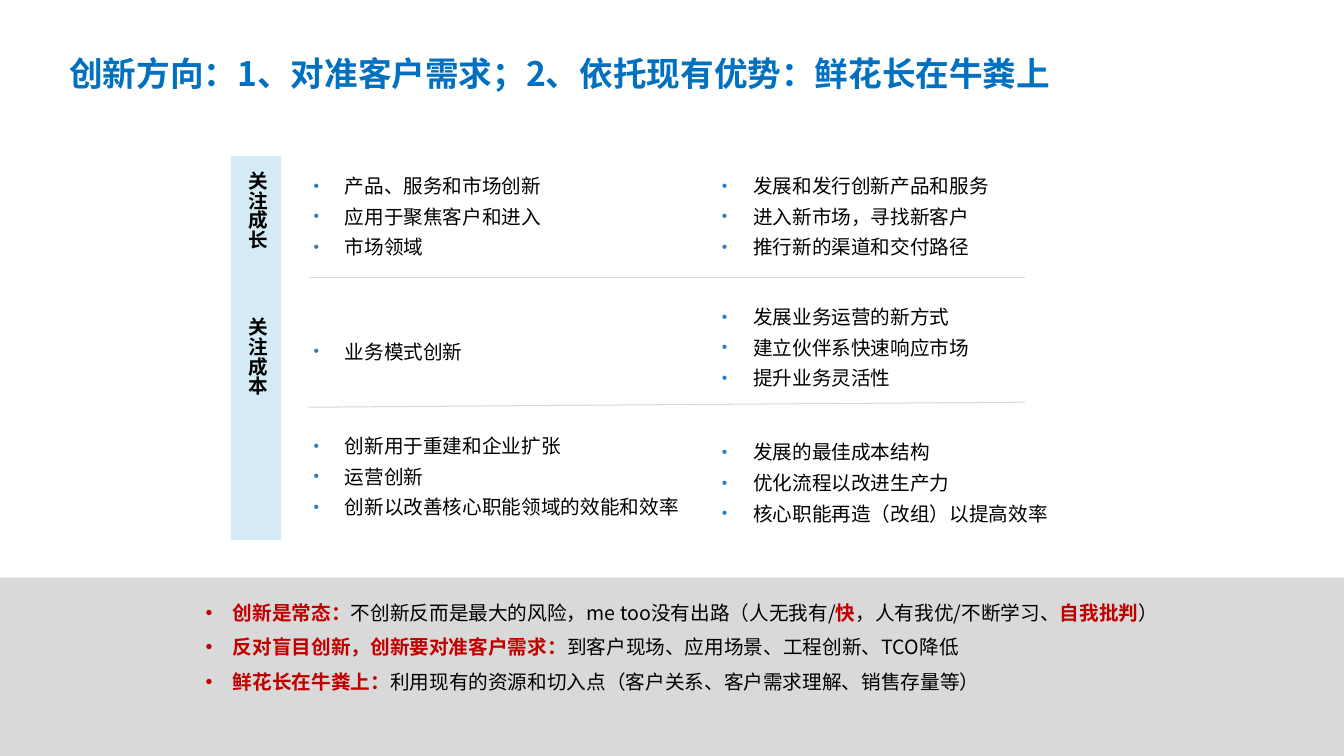
import pptx
import pptx.util
import pptx.dml.color
import pptx.enum.shapes
import pptx.enum.text
import pptx.oxml.ns
from lxml import etree

Inches = pptx.util.Inches
Pt = pptx.util.Pt
RGBColor = pptx.dml.color.RGBColor
ANCHOR = pptx.enum.text.MSO_ANCHOR
ALIGN = pptx.enum.text.PP_ALIGN
qn = pptx.oxml.ns.qn

BLUE = RGBColor(0x00, 0x70, 0xC0)
DOT = RGBColor(0x26, 0x7F, 0xC3)
PALE = RGBColor(0xD4, 0xEA, 0xF5)
GREY = RGBColor(0xD9, 0xD9, 0xD9)
RED = RGBColor(0xC0, 0x00, 0x00)
BLACK = RGBColor(0x00, 0x00, 0x00)


def apply(target, values):
    for name, value in values.items():
        setattr(target, name, value)


class Board:
    face = "Noto Sans CJK SC"

    def __init__(self, slide):
        self.slide = slide

    def rect(self, x, y, w, h, color):
        shape = self.slide.shapes.add_shape(
            pptx.enum.shapes.MSO_SHAPE.RECTANGLE,
            Inches(x), Inches(y), Inches(w), Inches(h))
        shape.shadow.inherit = False
        shape.fill.solid()
        shape.fill.fore_color.rgb = color
        shape.line.fill.background()

    def line(self, x1, y1, x2, y2):
        link = self.slide.shapes.add_connector(
            pptx.enum.shapes.MSO_CONNECTOR.STRAIGHT,
            Inches(x1), Inches(y1), Inches(x2), Inches(y2))
        link.line.color.rgb = GREY
        link.line.width = Pt(0.75)
        etree.SubElement(link._element.spPr, qn("a:effectLst"))

    def frame(self, x, y, w, h, pads=(0.13, 0.07), anchor=ANCHOR.TOP):
        box = self.slide.shapes.add_textbox(
            Inches(x), Inches(y), Inches(w), Inches(h))
        side, edge = map(Inches, pads)
        apply(box.text_frame, {
            "word_wrap": True, "vertical_anchor": anchor,
            "margin_left": side, "margin_right": side,
            "margin_top": edge, "margin_bottom": edge})
        return box.text_frame

    def run(self, para, text, color=BLACK, bold=False, size=14):
        run = para.add_run()
        run.text = text
        apply(run.font, {"name": self.face, "size": Pt(size), "bold": bold})
        run.font.color.rgb = color
        east = etree.SubElement(run._r.get_or_add_rPr(), qn("a:ea"))
        east.set("typeface", self.face)

    def bullet(self, para, indent, color, scale):
        props = para._p.get_or_add_pPr()
        props.set("marL", str(Inches(indent)))
        props.set("indent", str(-Inches(indent)))
        tint = etree.SubElement(props, qn("a:buClr"))
        etree.SubElement(tint, qn("a:srgbClr")).set("val", str(color))
        etree.SubElement(props, qn("a:buSzPct")).set("val", str(scale * 1000))
        etree.SubElement(props, qn("a:buFont")).set("typeface", "Arial")
        etree.SubElement(props, qn("a:buChar")).set("char", "•")

    def title(self, x, y, w, h, text):
        frame = self.frame(x, y, w, h, (0.1, 0.05), ANCHOR.MIDDLE)
        para = frame.paragraphs[0]
        para.line_spacing = Pt(30)
        self.run(para, text, BLUE, True, 24)

    def label(self, x, y, w, h, text):
        frame = self.frame(x, y, w, h, (0, 0), ANCHOR.MIDDLE)
        frame._txBody.bodyPr.set("vert", "eaVert")
        self.run(frame.paragraphs[0], text, bold=True)

    def points(self, x, y, w, h, rows, style, indent, color, scale, gap=0):
        frame = self.frame(x, y, w, h)
        for index, row in enumerate(rows):
            para = frame.add_paragraph() if index else frame.paragraphs[0]
            self.bullet(para, indent, color, scale)
            apply(para, style)
            if index:
                para.space_before = Pt(gap)
            for text, hot in row:
                self.run(para, text, RED if hot else BLACK, hot)


LISTS = [
    (2.98, 1.59, ["产品、服务和市场创新", "应用于聚焦客户和进入", "市场领域"]),
    (2.98, 3.23, ["业务模式创新"]),
    (2.98, 4.17, ["创新用于重建和企业扩张", "运营创新",
                  "创新以改善核心职能领域的效能和效率"]),
    (7.03, 1.59, ["发展和发行创新产品和服务", "进入新市场，寻找新客户",
                  "推行新的渠道和交付路径"]),
    (7.03, 2.89, ["发展业务运营的新方式", "建立伙伴系快速响应市场",
                  "提升业务灵活性"]),
    (7.03, 4.23, ["发展的最佳成本结构", "优化流程以改进生产力",
                  "核心职能再造（改组）以提高效率"]),
]
NOTES = [
    [("创新是常态：", True),
     ("不创新反而是最大的风险，me too没有出路（人无我有/", False),
     ("快", True), ("，人有我优/不断学习、", False),
     ("自我批判", True), ("）", False)],
    [("反对盲目创新，创新要对准客户需求：", True),
     ("到客户现场、应用场景、工程创新、TCO降低", False)],
    [("鲜花长在牛粪上：", True),
     ("利用现有的资源和切入点（客户关系、客户需求理解、销售存量等）", False)],
]


def main():
    deck = pptx.Presentation()
    apply(deck, {"slide_width": Inches(13.33), "slide_height": Inches(7.5)})
    board = Board(deck.slides.add_slide(deck.slide_layouts[6]))
    board.rect(0, 5.73, 13.33, 1.77, GREY)
    board.title(0.59, 0.53, 10.06, 0.38,
                "创新方向：1、对准客户需求；2、依托现有优势：鲜花长在牛粪上")
    board.rect(2.29, 1.55, 0.5, 3.81, PALE)
    for y, text in ((1.7, "关注成长"), (3.15, "关注成本")):
        board.label(2.31, y, 0.5, 1, text)
    for left, right in ((2.75, 2.75), (4.04, 3.99)):
        board.line(3.06, left, 10.17, right)
    style = {"line_spacing": Pt(21.8), "alignment": ALIGN.LEFT}
    for x, y, items in LISTS:
        rows = [[(item, False)] for item in items]
        height = 0.14 + 0.3 * len(items)
        board.points(x, y, 4.05, height, rows, style, 0.31, DOT, 80)
    style = {"line_spacing": Pt(17.4), "alignment": ALIGN.LEFT}
    board.points(1.91, 5.88, 9.82, 1.3, NOTES, style, 0.27, RED, 100, 7.5)
    deck.save("out.pptx")


if __name__ == "__main__":
    main()
